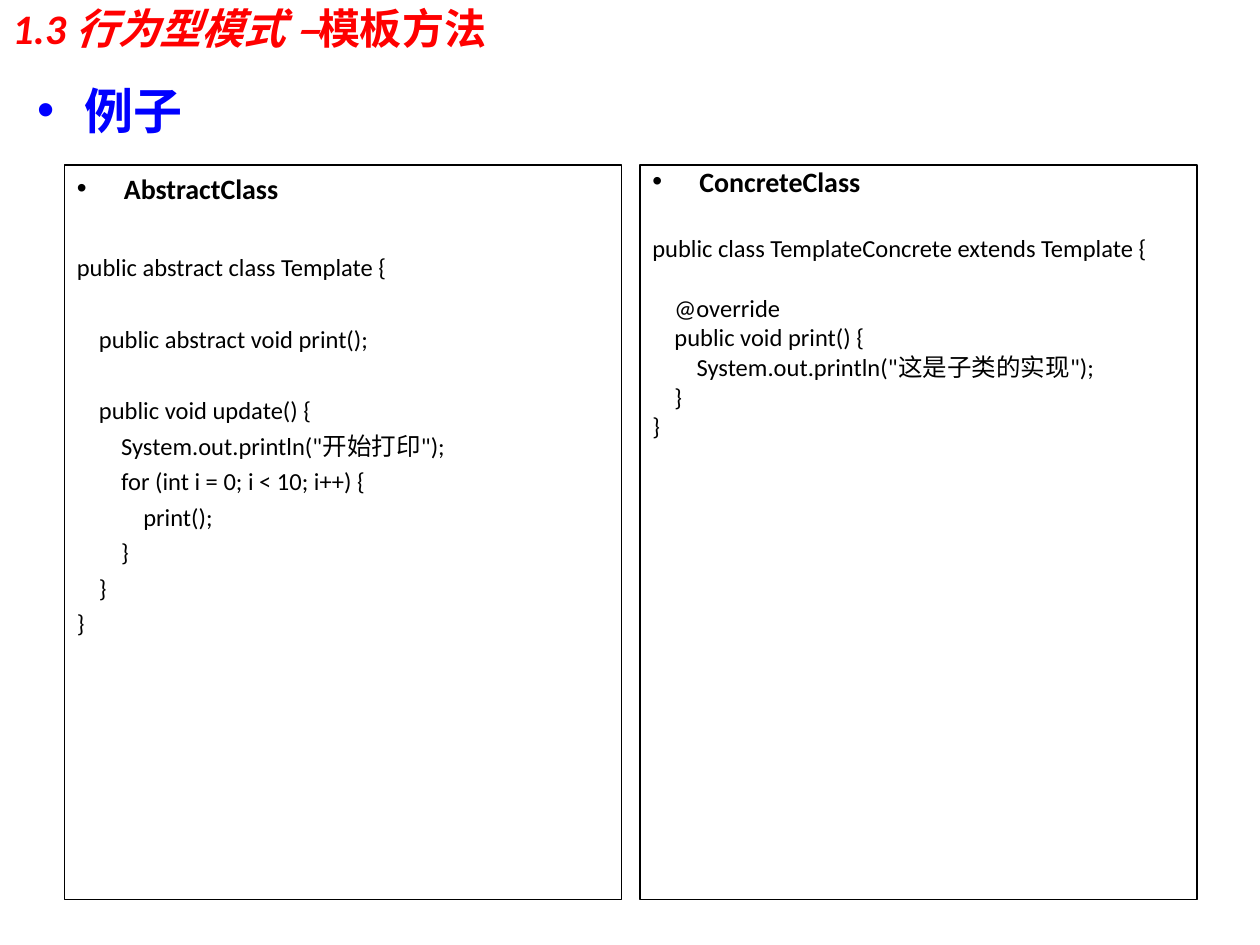
"""Build the template-method example slide with two bordered code panels."""
from dataclasses import dataclass

from lxml.etree import SubElement
from pptx import Presentation
from pptx.dml.color import RGBColor
from pptx.enum.shapes import MSO_SHAPE as Shape
from pptx.enum.text import MSO_ANCHOR as Anchor, PP_ALIGN as Align
from pptx.oxml.ns import qn
from pptx.util import Cm, Pt


@dataclass(frozen=True)
class Theme:
    """Colours, type sizes and spacing shared by the slide."""
    font: str = "Calibri"
    title_color: str = "FF0000"
    topic_color: str = "0000FF"
    ink: str = "000000"
    title_size: float = 24
    topic_size: float = 28
    heading_size: float = 16
    code_size: float = 14
    code_gap: float = 3.5
    heading_gap: float = 4
    line_height: float = 1.22
    tight: float = 0.8
    hang: float = 0.95
    border: float = 0.75


@dataclass(frozen=True)
class Panel:
    """A heading and its code, with blank code lines shown as spacing."""
    heading: str
    code: str
    line_spacing: float


THEME = Theme()
PANELS = (
    Panel("AbstractClass", """public abstract class Template {

    public abstract void print();

    public void update() {
        System.out.println("开始打印");
        for (int i = 0; i < 10; i++) {
            print();
        }
    }
}""", 1.0),
    Panel("ConcreteClass", """public class TemplateConcrete extends Template {

    @override
    public void print() {
        System.out.println("这是子类的实现");
    }
}""", THEME.tight),
)


def style_run(run, size: float, color: str, bold: bool = False, italic: bool = False) -> None:
    """Apply the theme font with the given look to a run."""
    font = run.font
    font.name, font.size, font.bold, font.italic = THEME.font, Pt(size), bold, italic
    font.color.rgb = RGBColor.from_string(color)


def add_bullet(paragraph, color: str) -> None:
    """Give a paragraph a coloured round bullet with a hanging indent."""
    props = paragraph._p.get_or_add_pPr()
    props.set("marL", str(Cm(THEME.hang)))
    props.set("indent", str(-Cm(THEME.hang)))
    SubElement(SubElement(props, qn("a:buClr")), qn("a:srgbClr"), val=color)
    SubElement(props, qn("a:buFont"), typeface="Arial")
    SubElement(props, qn("a:buChar"), char="•")


def write_bullet(paragraph, text: str, size: float, color: str, spacing: float) -> None:
    """Write a bold bulleted line."""
    paragraph.text = text
    paragraph.alignment = Align.LEFT
    paragraph.line_spacing = spacing
    add_bullet(paragraph, color)
    style_run(paragraph.runs[0], size, color, bold=True)


def blank_height(size: float, gap: float, spacing: float) -> float:
    """Return the points taken by an empty line of the given size."""
    return gap + size * THEME.line_height * spacing


def draw_title(slide) -> None:
    """Draw the section title with its upright closing words."""
    box = slide.shapes.add_textbox(Cm(0), Cm(0), Cm(22.86), Cm(1.12))
    frame = box.text_frame
    frame.word_wrap = True
    frame.vertical_anchor = Anchor.MIDDLE
    title = frame.paragraphs[0]
    title.text = "1.3 行为型模式 –"
    title.add_run().text = "模板方法"
    for run, italic in zip(title.runs, (True, False)):
        style_run(run, THEME.title_size, THEME.title_color, bold=True, italic=italic)


def draw_topic(slide) -> None:
    """Draw the bulleted topic line."""
    box = slide.shapes.add_textbox(Cm(0.5), Cm(1.73), Cm(9), Cm(2.64))
    box.text_frame.word_wrap = True
    write_bullet(box.text_frame.paragraphs[0], "例子", THEME.topic_size,
                 THEME.topic_color, THEME.tight)


def draw_panel(slide, panel: Panel, left: float) -> None:
    """Draw a bordered panel with its heading and code."""
    box = slide.shapes.add_shape(Shape.RECTANGLE, Cm(left), Cm(3.33), Cm(11.23), Cm(14.81))
    box.shadow.inherit = False
    box.fill.background()
    box.line.color.rgb = RGBColor.from_string(THEME.ink)
    box.line.width = Pt(THEME.border)
    frame = box.text_frame
    frame.word_wrap = True
    frame.vertical_anchor = Anchor.TOP
    write_bullet(frame.paragraphs[0], panel.heading, THEME.heading_size,
                 THEME.ink, panel.line_spacing)

    skipped = blank_height(THEME.heading_size, THEME.heading_gap, panel.line_spacing)
    for code_line in panel.code.splitlines():
        if not code_line:
            skipped = blank_height(THEME.code_size, THEME.code_gap, panel.line_spacing)
            continue
        paragraph = frame.add_paragraph()
        paragraph.text = code_line
        paragraph.alignment = Align.LEFT
        paragraph.line_spacing = panel.line_spacing
        paragraph.space_before = Pt(round(THEME.code_gap + skipped, 1))
        style_run(paragraph.runs[0], THEME.code_size, THEME.ink)
        skipped = 0


def main() -> None:
    """Assemble and save the slide."""
    deck = Presentation()
    deck.slide_width, deck.slide_height = Cm(25.4), Cm(19.05)
    slide = deck.slides.add_slide(deck.slide_layouts[6])
    draw_title(slide)
    draw_topic(slide)
    for column, panel in enumerate(PANELS):
        draw_panel(slide, panel, 1.3 + column * 11.6)
    deck.save("out.pptx")


if __name__ == "__main__":
    main()
